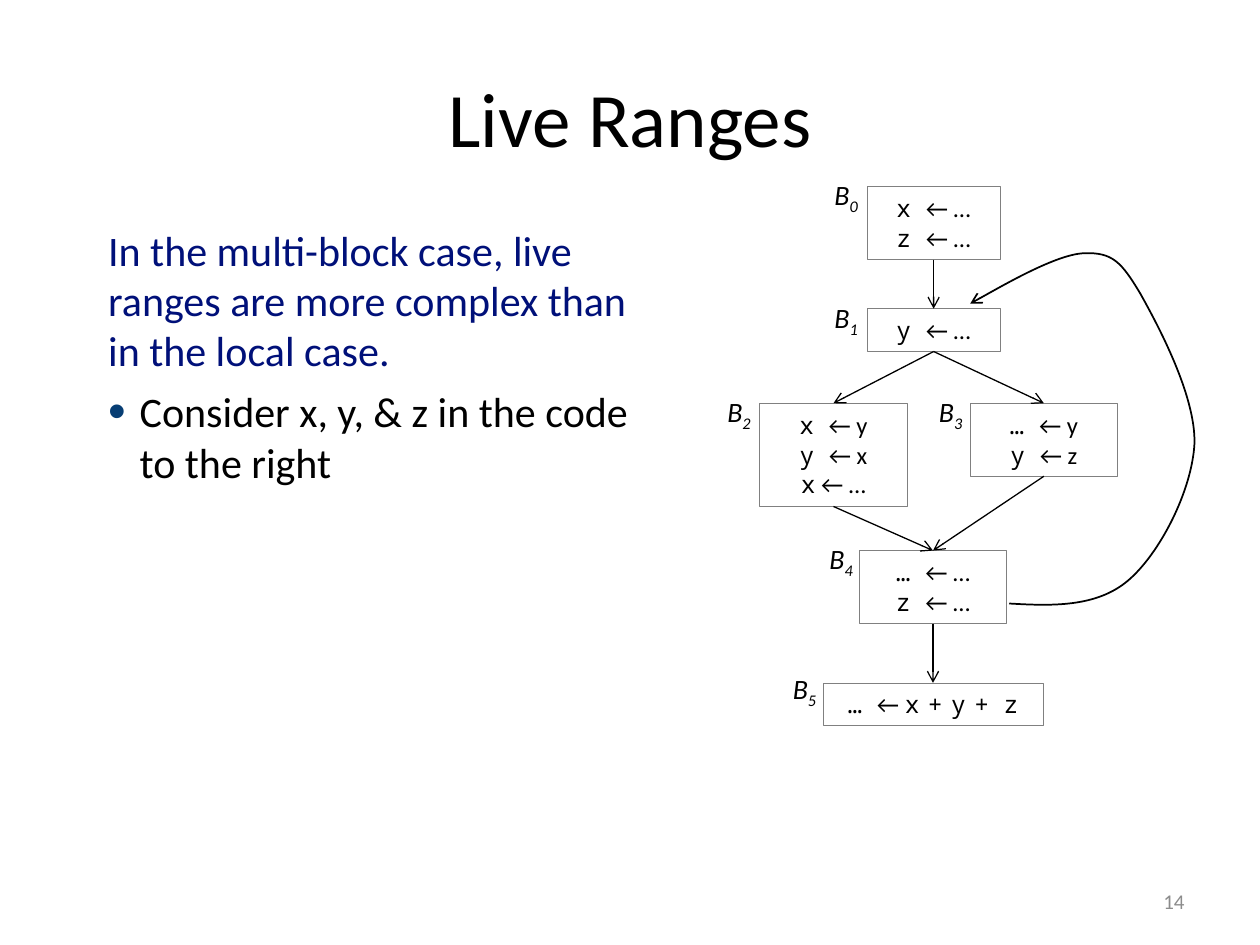
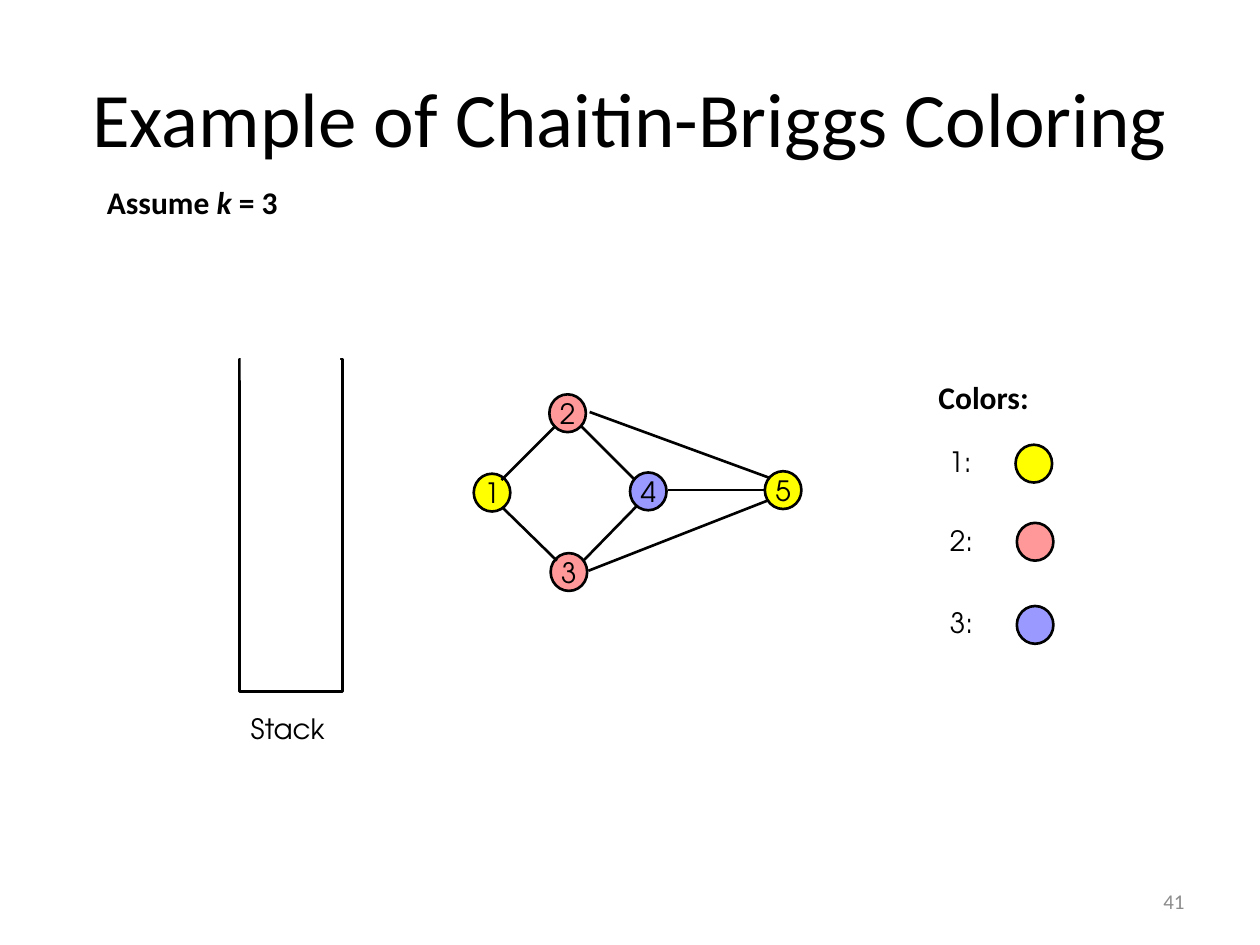
"""Builds two slides on register allocation: live ranges and graph coloring."""
import pptx
import pptx.dml.color
import pptx.enum.shapes
import pptx.enum.text
import pptx.oxml
import pptx.oxml.ns
import pptx.util
from lxml import etree

Inches = pptx.util.Inches
Pt = pptx.util.Pt
RGBColor = pptx.dml.color.RGBColor
Shape = pptx.enum.shapes.MSO_SHAPE
Align = pptx.enum.text.PP_ALIGN
Anchor = pptx.enum.text.MSO_ANCHOR
qn = pptx.oxml.ns.qn

BLACK = RGBColor(0x00, 0x00, 0x00)
WHITE = RGBColor(0xFF, 0xFF, 0xFF)
GRAY = RGBColor(0x80, 0x80, 0x80)
PALE = RGBColor(0x8C, 0x8C, 0x8C)
NAVY = RGBColor(0x00, 0x10, 0x79)
YELLOW = RGBColor(0xFF, 0xFF, 0x00)
PINK = RGBColor(0xFF, 0x99, 0x99)
BLUE = RGBColor(0x99, 0x99, 0xFF)
SANS = "Calibri"
MONO = "Noto Sans Mono"
ROUND = "TeX Gyre Adventor"


def note(slide, at, words, size, face=SANS, color=BLACK, align=Align.LEFT, anchor=Anchor.TOP):
    """Add a wrapped text box and return its paragraph."""
    frame = slide.shapes.add_textbox(*map(Inches, at)).text_frame
    frame.word_wrap = True
    frame.vertical_anchor = anchor
    para = frame.paragraphs[0]
    para.alignment = align
    para.font.size = Pt(size)
    para.font.name = face
    para.font.color.rgb = color
    for word in words:
        para.add_run().text = word
    return para


def wire(slide, start, end, width):
    """Add a straight black line without a shadow."""
    line = slide.shapes.add_connector(
        pptx.enum.shapes.MSO_CONNECTOR.STRAIGHT, *map(Inches, start + end))
    line.line.color.rgb = BLACK
    line.line.width = Pt(width)
    etree.SubElement(line._element.spPr, qn("a:effectLst"))
    return line


deck = pptx.Presentation()
deck.slide_width = Inches(10)
deck.slide_height = Inches(7.5)

pages = []
for title, number in [("Live Ranges", "14"), ("Example of Chaitin-Briggs Coloring", "41")]:
    page = deck.slides.add_slide(deck.slide_layouts[6])
    note(page, (0.5, 0.3, 9, 1.25), [title], 44, align=Align.CENTER, anchor=Anchor.MIDDLE)
    note(page, (7.17, 6.95, 2.33, 0.4), [number], 12, color=PALE,
         align=Align.RIGHT, anchor=Anchor.MIDDLE)
    pages.append(page)
live, graph = pages

intro = "In the multi-block case, live ranges are more complex than in the local case."
body = note(live, (0.76, 1.73, 4.55, 4.99), [intro], 24, color=NAVY)
point = body._parent.add_paragraph()
point.text = "Consider x, y, & z in the code to the right"
props = point._p.get_or_add_pPr()
props.set("marL", str(Inches(0.25)))
props.set("indent", str(-Inches(0.25)))
tint = etree.SubElement(props, qn("a:buClr"))
etree.SubElement(tint, qn("a:srgbClr"), val="073E74")
etree.SubElement(props, qn("a:buSzPct"), val="120000")
etree.SubElement(props, qn("a:buFont"), typeface="Arial")
etree.SubElement(props, qn("a:buChar"), char="•")
point.space_before = Pt(6)
point.font.size = Pt(24)
point.font.name = SANS
point.font.color.rgb = BLACK

blocks = [
    ((6.88, 1.48, 1.06), (6.43, 1.36, 0.57), [("x ", "← …"), ("z ", "← …")]),
    ((6.88, 2.45, 1.06), (6.43, 2.34, 0.57), [("y ", "← …")]),
    ((6.03, 3.2, 1.17), (5.58, 3.08, 0.57), [("x ", "← y"), ("y ", "← x"), ("x", " ← …")]),
    ((7.7, 3.2, 1.17), (7.29, 3.08, 0.51), [("… ", "← y"), ("y ", "← z")]),
    ((6.82, 4.37, 1.17), (6.42, 4.25, 0.51), [("… ", "← …"), ("z ", "← …")]),
    ((6.53, 5.42, 1.75), (6.13, 5.28, 0.51),
     [("… ", "← ", "x", " ", "+", " ", "y", " ", "+ z")]),
]
boxes = []
for index, (place, tag, rows) in enumerate(blocks):
    high = 0.1 + 0.24 * len(rows)
    box = live.shapes.add_shape(Shape.RECTANGLE, *map(Inches, place + (high,)))
    box.shadow.inherit = False
    box.fill.background()
    box.line.color.rgb = GRAY
    box.line.width = Pt(0.25)
    frame = box.text_frame
    frame.vertical_anchor = Anchor.TOP
    for row, parts in enumerate(rows):
        para = frame.add_paragraph() if row else frame.paragraphs[0]
        para.alignment = Align.CENTER
        para.line_spacing = Pt(17)
        para.font.color.rgb = BLACK
        for part in parts:
            run = para.add_run()
            run.text = part
            run.font.name = SANS if "←" in part else MONO
            run.font.size = Pt(8 if part == " " else 14)
    boxes.append(box)
    label = note(live, tag + (0.37,), ["B", str(index)], 16, align=Align.CENTER)
    label.font.italic = True
    label.runs[1]._r.get_or_add_rPr().set("baseline", "-25000")

arrows = []
for start, end in [(0, 1), (1, 2), (1, 3), (2, 4), (3, 4), (4, 5)]:
    edge = wire(live, (0, 0), (1, 1), 0.75)
    edge.begin_connect(boxes[start], 2)
    edge.end_connect(boxes[end], 0)
    arrows.append(edge)

curve = [(8.35, 4.81), (8.7, 4.82), (8.95, 4.61), (9.2, 4.4), (9.46, 3.9), (9.48, 3.52),
         (9.49, 3.14), (9.19, 2.58), (9.05, 2.33), (8.9, 2.08), (8.83, 2), (8.6, 2.01),
         (8.38, 2.02), (7.7, 2.41), (7.7, 2.41)]
pen = live.shapes.build_freeform(Inches(8.01), Inches(4.79))
pen.add_line_segments([(Inches(x), Inches(y)) for x, y in curve], close=False)
loop = pen.convert_to_shape()
loop.shadow.inherit = False
loop.fill.background()
loop.line.color.rgb = BLACK
loop.line.width = Pt(1)
steps = list(loop._element.iter(qn("a:lnTo")))
for first in range(0, len(steps), 3):
    bend = etree.Element(qn("a:cubicBezTo"))
    steps[first].addprevious(bend)
    for step in steps[first:first + 3]:
        bend.append(step[0])
        step.getparent().remove(step)
arrows.append(loop)
for arrow in arrows:
    etree.SubElement(arrow.line._get_or_add_ln(), qn("a:tailEnd"), type="arrow")

given = note(graph, (0.75, 1.4, 4.83, 0.4), ["Assume ", "k", " = 3"], 18)
given.font.bold = True
given.runs[1].font.italic = True

stack = graph.shapes.add_shape(Shape.RECTANGLE, *map(Inches, (1.9, 2.85, 0.82, 2.64)))
stack.fill.background()
stack.line.color.rgb = BLACK
stack.line.width = Pt(1.5)
cover = graph.shapes.add_shape(Shape.RECTANGLE, *map(Inches, (1.91, 2.57, 0.79, 0.45)))
cover.fill.solid()
cover.fill.fore_color.rgb = WHITE
cover.line.fill.background()
for part in (stack, cover):
    part.shadow.inherit = False
note(graph, (1.89, 5.6, 0.9, 0.37), ["Stack"], 16, ROUND)

note(graph, (7.35, 2.95, 1.1, 0.4), ["Colors:"], 18).font.bold = True
for left, top, name in [(7.43, 3.48, "1:"), (7.44, 4.11, "2:"), (7.44, 4.76, "3:")]:
    note(graph, (left, top, 0.55, 0.37), [name], 16, ROUND)

dots = [(4.36, 3.13, PINK, "2"), (4.37, 4.39, PINK, "3"), (3.76, 3.76, YELLOW, "1"),
        (5, 3.75, BLUE, "4"), (6.07, 3.74, YELLOW, "5"),
        (8.06, 3.53, YELLOW, ""), (8.07, 4.15, PINK, ""), (8.07, 4.81, BLUE, "")]
for left, top, color, name in dots:
    dot = graph.shapes.add_shape(Shape.OVAL, *map(Inches, (left, top, 0.29, 0.3)))
    dot.shadow.inherit = False
    dot.fill.solid()
    dot.fill.fore_color.rgb = color
    dot.line.color.rgb = BLACK
    dot.line.width = Pt(1.5)
    if name:
        frame = dot.text_frame
        frame.word_wrap = False
        frame.vertical_anchor = Anchor.MIDDLE
        para = frame.paragraphs[0]
        para.text = name
        para.alignment = Align.CENTER
        para.font.size = Pt(16)
        para.font.name = ROUND
        para.font.color.rgb = BLACK

for start, end in [((4.61, 3.38), (5.04, 3.81)), ((4.41, 3.38), (3.98, 3.81)),
                   ((3.99, 4.03), (4.42, 4.45)), ((5.05, 4.02), (4.63, 4.45)),
                   ((5.3, 3.89), (6.06, 3.89)), ((4.68, 3.27), (6.1, 3.79)),
                   ((4.67, 4.53), (6.1, 3.97))]:
    wire(graph, start, end, 1.5)

deck.save("out.pptx")
